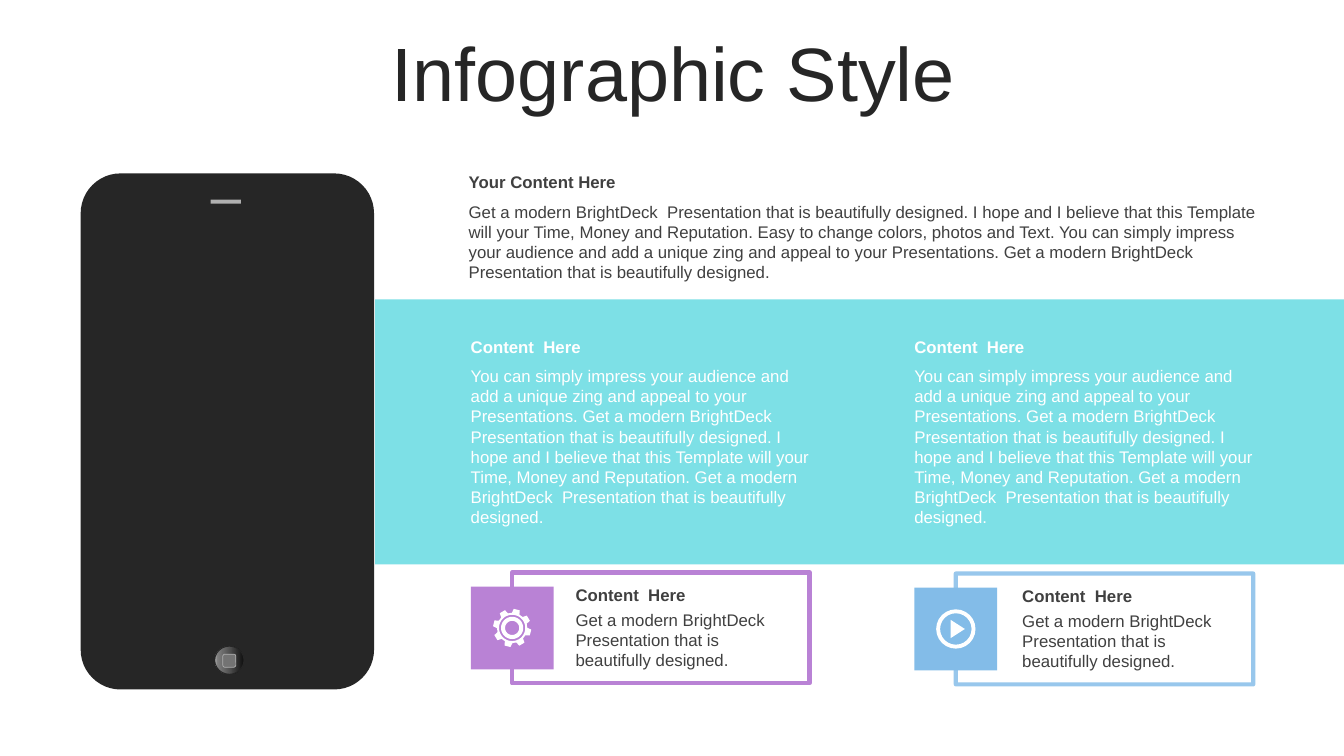
import math

import lxml.etree
import pptx
import pptx.dml.color
import pptx.enum.shapes
import pptx.enum.text
import pptx.oxml
import pptx.oxml.ns
import pptx.util

Inches = pptx.util.Inches
Pt = pptx.util.Pt
SHAPE = pptx.enum.shapes.MSO_SHAPE
ANCHOR = pptx.enum.text.MSO_ANCHOR
ALIGN = pptx.enum.text.PP_ALIGN
qn = pptx.oxml.ns.qn

DARK, GREY, TEXT, WHITE = "262626", "B0B0B0", "404040", "FFFFFF"
PURPLE, BLUE = "B982D5", "83BCE8"

HEADING = "Content  Here"
INTRO = (
    "Get a modern BrightDeck  Presentation that is beautifully designed. I hope and I believe "
    "that this Template will your Time, Money and Reputation. Easy to change colors, photos and "
    "Text. You can simply impress your audience and add a unique zing and appeal to your "
    "Presentations. Get a modern BrightDeck  Presentation that is beautifully designed."
)
COLUMN = (
    "You can simply impress your audience and add a unique zing and appeal to your "
    "Presentations. Get a modern BrightDeck  Presentation that is beautifully designed. I hope "
    "and I believe that this Template will your Time, Money and Reputation. Get a modern "
    "BrightDeck  Presentation that is beautifully designed."
)
FEATURE = "Get a modern BrightDeck  Presentation that is beautifully designed."


def rgb(color):
    return pptx.dml.color.RGBColor.from_string(color)


def set_alpha(fill_element, percent):
    color = fill_element.find(".//" + qn("a:srgbClr"))
    lxml.etree.SubElement(color, qn("a:alpha")).set("val", str(percent * 1000))


def paint(shape, fill=None, line=None, width=1):
    shape.shadow.inherit = False
    if fill:
        shape.fill.solid()
        shape.fill.fore_color.rgb = rgb(fill)
    else:
        shape.fill.background()
    if line:
        shape.line.color.rgb = rgb(line)
        shape.line.width = Pt(width)
    else:
        shape.line.fill.background()


def add_shape(slide, kind, left, top, width, height, fill=None, line=None, line_width=1):
    shape = slide.shapes.add_shape(kind, *map(Inches, (left, top, width, height)))
    paint(shape, fill, line, line_width)
    return shape


def add_text(slide, text, left, top, width, height, color=TEXT, size=12, bold=False,
             anchor=ANCHOR.TOP):
    box = slide.shapes.add_textbox(*map(Inches, (left, top, width, height)))
    frame = box.text_frame
    frame.word_wrap = True
    frame.vertical_anchor = anchor
    frame.text = text
    paragraph = frame.paragraphs[0]
    font = paragraph.runs[0].font
    font.name, font.size, font.bold = "Arial", Pt(size), bold
    font.color.rgb = rgb(color)
    return paragraph


def add_text_block(slide, heading, body, left, top, width, height, color=TEXT, body_offset=0.3):
    add_text(slide, heading, left, top, width, 0.3, color, bold=True, anchor=ANCHOR.MIDDLE)
    add_text(slide, body, left, top + body_offset, width, height - body_offset, color)


def add_title(slide, left, top, width, height):
    title = add_text(slide, "Infographic Style", left, top, width, height, DARK, 54,
                     anchor=ANCHOR.MIDDLE)
    title.alignment = ALIGN.CENTER
    title.line_spacing = 0.9


def add_band(slide, left, top, width, height):
    band = add_shape(slide, SHAPE.RECTANGLE, left, top, width, height, "47D3DC")
    set_alpha(band.element.spPr.find(qn("a:solidFill")), 70)


def add_phone(slide, left, top, width, height):
    body = add_shape(slide, SHAPE.ROUNDED_RECTANGLE, left, top, width, height, DARK)
    body.adjustments[0] = 0.136
    add_shape(slide, SHAPE.RECTANGLE, left + 1.29, top + 0.26, 0.3, 0.04, GREY)
    button = add_shape(slide, SHAPE.OVAL, left + 1.33, top + height - 0.43, 0.29, 0.28,
                       DARK, DARK, 0)
    stops = ((0, "0F0F0F"), (56, "595959"), (91, "808080"), (100, "BFBFBF"))
    stop_xml = "".join(
        f'<a:gs pos="{position * 1000}"><a:srgbClr val="{color}"/></a:gs>'
        for position, color in stops
    )
    gradient = pptx.oxml.parse_xml(
        f'<a:gradFill {pptx.oxml.ns.nsdecls("a")}><a:gsLst>{stop_xml}</a:gsLst>'
        '<a:lin ang="10800000" scaled="0"/></a:gradFill>'
    )
    properties = button.element.spPr
    properties.replace(properties.find(qn("a:solidFill")), gradient)
    add_shape(slide, SHAPE.ROUNDED_RECTANGLE, left + 1.41, top + height - 0.35, 0.13, 0.13,
              "737373", GREY, 0.5)


def polar(center_x, center_y, radius, degrees):
    angle = math.radians(degrees)
    return (Inches(center_x + radius * math.cos(angle)),
            Inches(center_y + radius * math.sin(angle)))


def add_gear_icon(slide, center_x, center_y):
    tooth = ((0.15, -15), (0.19, -9), (0.19, 9), (0.15, 15))
    rim = [polar(center_x, center_y, radius, 45 * step - 76 + offset)
           for step in range(8) for radius, offset in tooth]
    rings = [[polar(center_x, center_y, radius, degrees) for degrees in range(0, 360, 6)]
             for radius in (0.13, 0.11, 0.07)]
    builder = slide.shapes.build_freeform(*rim[0], scale=1.0)
    builder.add_line_segments(rim[1:], close=True)
    for ring in rings:
        builder.move_to(*ring[0])
        builder.add_line_segments(ring[1:], close=True)
    paint(builder.convert_to_shape(), WHITE)


def add_play_icon(slide, center_x, center_y):
    ring = add_shape(slide, SHAPE.DONUT, center_x - 0.195, center_y - 0.195, 0.39, 0.39, WHITE)
    ring.adjustments[0] = 0.1
    arrow = [(Inches(center_x + x), Inches(center_y + y))
             for x, y in ((-0.05, -0.09), (0.09, 0), (-0.05, 0.09))]
    builder = slide.shapes.build_freeform(*arrow[0], scale=1.0)
    builder.add_line_segments(arrow[1:], close=True)
    paint(builder.convert_to_shape(), WHITE)


def add_feature(slide, left, top, width, height, badge_color, frame_color, frame_alpha,
                text_offset, add_icon):
    """Outlined card with an icon badge over its left edge."""
    frame = add_shape(slide, SHAPE.RECTANGLE, left, top, width, height, None, frame_color, 3)
    set_alpha(frame.element.spPr.find(qn("a:ln")), frame_alpha)
    badge = 0.82
    badge_left, badge_top = left - badge / 2, top + (height - badge) / 2
    add_shape(slide, SHAPE.RECTANGLE, badge_left, badge_top, badge, badge, badge_color)
    add_icon(slide, left, badge_top + badge / 2)
    add_text_block(slide, HEADING, FEATURE, left + text_offset, top + 0.07, 2.29, 0.96,
                   body_offset=0.25)


def main():
    presentation = pptx.Presentation()
    presentation.slide_width = Inches(13.33)
    presentation.slide_height = Inches(7.5)
    slide = presentation.slides.add_slide(presentation.slide_layouts[6])

    add_band(slide, 3.72, 2.97, 9.61, 2.63)
    add_phone(slide, 0.8, 1.72, 2.91, 5.12)
    add_title(slide, 0.35, 0.37, 12.66, 0.79)
    add_text_block(slide, "Your Content Here", INTRO, 4.55, 1.65, 8.1, 1.21)
    for left in (4.57, 8.97):
        add_text_block(slide, HEADING, COLUMN, left, 3.29, 3.58, 2.01, WHITE, 0.29)
    add_feature(slide, 5.08, 5.68, 2.95, 1.1, PURPLE, PURPLE, 100, 0.53, add_gear_icon)
    add_feature(slide, 9.48, 5.69, 2.95, 1.1, BLUE, "6DB0E4", 70, 0.56, add_play_icon)

    presentation.save("out.pptx")


if __name__ == "__main__":
    main()
